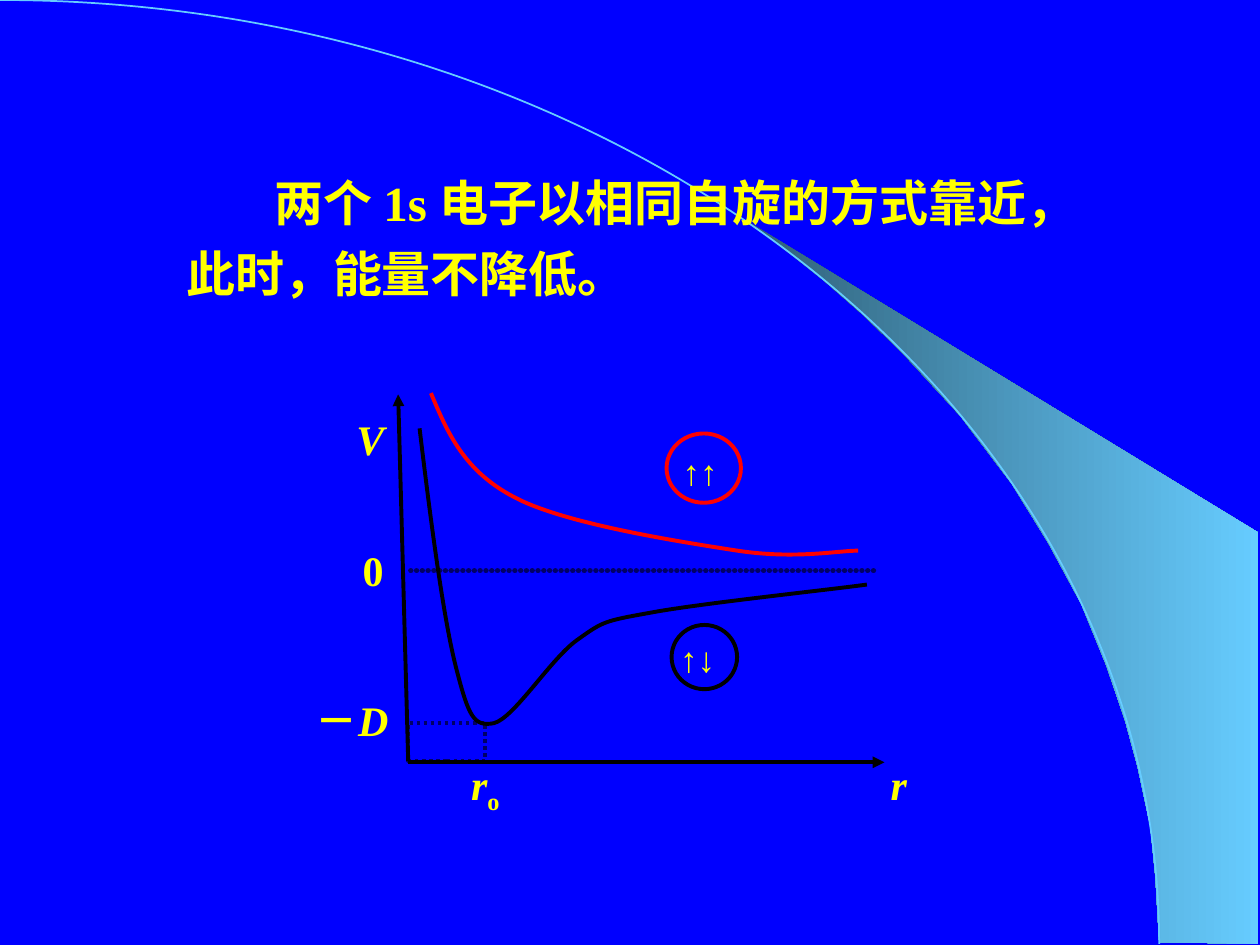
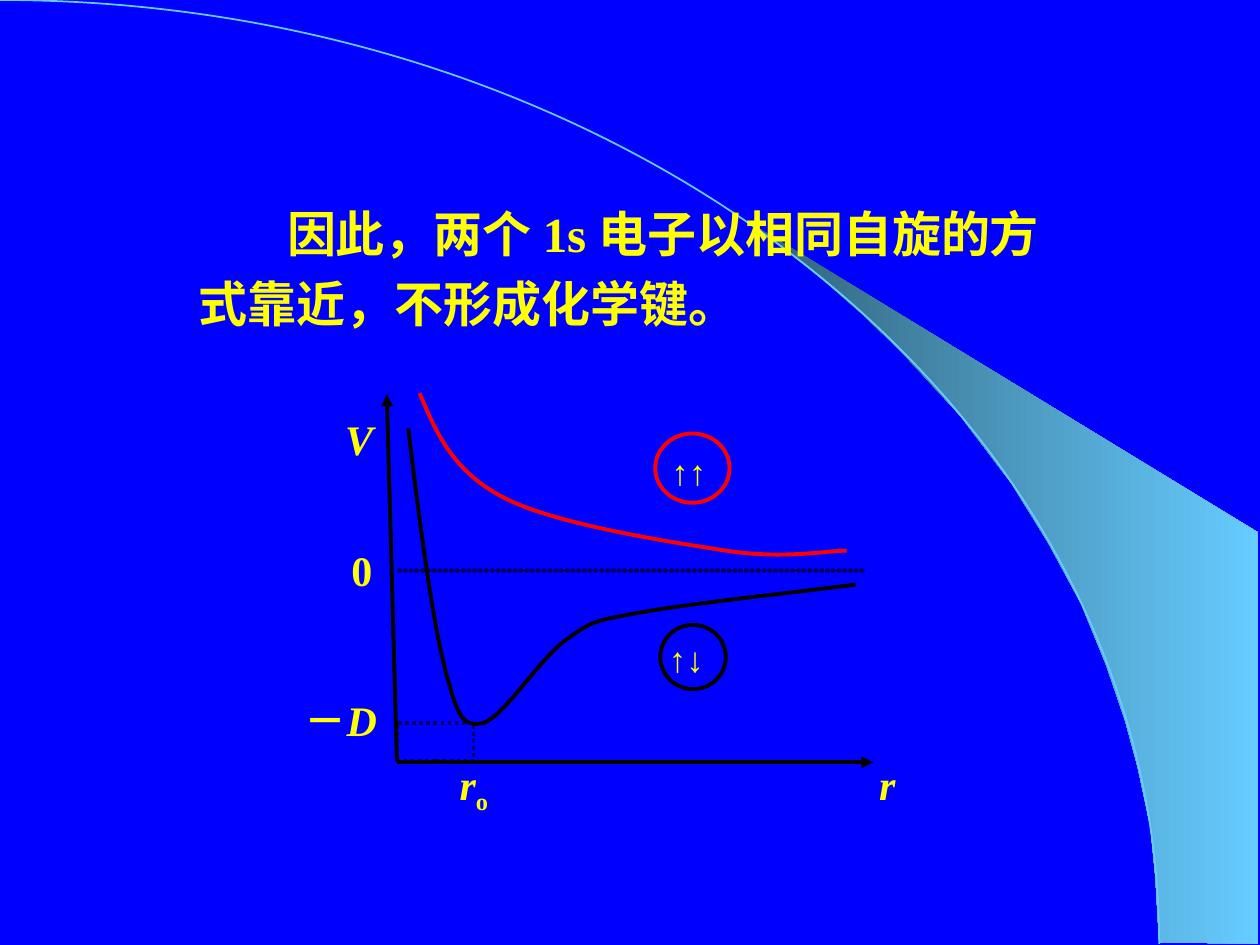
from dataclasses import dataclass
from typing import NamedTuple

from lxml import etree
from pptx import Presentation
from pptx.dml.color import RGBColor
from pptx.enum.dml import MSO_LINE
from pptx.enum.shapes import MSO_CONNECTOR, MSO_SHAPE
from pptx.enum.text import MSO_AUTO_SIZE, PP_ALIGN
from pptx.oxml.ns import qn
from pptx.util import Inches, Pt

ELLIPSE, RECT = MSO_SHAPE.OVAL, MSO_SHAPE.RECTANGLE
STRAIGHT = MSO_CONNECTOR.STRAIGHT
DOTTED = MSO_LINE.ROUND_DOT
GROW = MSO_AUTO_SIZE.SHAPE_TO_FIT_TEXT
LEFT, JUSTIFY = PP_ALIGN.LEFT, PP_ALIGN.JUSTIFY

BLUE = RGBColor(0x00, 0x00, 0xFF)
NAVY = RGBColor(0x00, 0x00, 0x66)
BLACK = RGBColor(0x00, 0x00, 0x00)
RED = RGBColor(0xFF, 0x00, 0x00)
YELLOW = RGBColor(0xFF, 0xFF, 0x00)
SKY = RGBColor(0x66, 0xCC, 0xFF)
TEAL = RGBColor(0x2F, 0x5E, 0x76)

SERIF, SANS = "Times New Roman", "Arial"
CURVE_WEIGHT = 2.25

# Grid of 10 columns by 7.5 rows
SLIDE_W, SLIDE_H = Inches(10), Inches(7.5)
COL, ROW = SLIDE_W / 10, SLIDE_H / 7.5

Point = tuple[float, float]


class Box(NamedTuple):
    x: float
    y: float
    w: float
    h: float

    def emu(self) -> tuple[int, int, int, int]:
        return (round(self.x * COL), round(self.y * ROW),
                round(self.w * COL), round(self.h * ROW))

    def shifted(self, dx: float) -> "Box":
        return self._replace(x=self.x + dx)


class Run(NamedTuple):
    text: str
    size: int = 24
    font: str = SERIF
    italic: bool = False
    baseline: int = 0


@dataclass(frozen=True)
class Label:
    box: Box
    runs: tuple[Run, ...]
    indent: float = 0


@dataclass(frozen=True)
class Curve:
    color: RGBColor
    weight: float
    points: tuple[Point, ...]


@dataclass(frozen=True)
class Outline:
    kind: MSO_SHAPE
    box: Box
    color: RGBColor
    weight: float = CURVE_WEIGHT
    dash: MSO_LINE | None = None


@dataclass(frozen=True)
class Page:
    text_box: Box
    lines: tuple[str, str]
    origin: float


# Shared backdrop
ARC = Curve(SKY, 1, ((0, 0), (5.08, 0), (9.2, 3.35), (9.2, 7.49)))
WEDGE = ((9.2, 7.48), (9.99, 7.49), (9.99, 4.23), (5.89, 1.73), (6.24, 1.99),
         (6.53, 2.22), (6.85, 2.5), (7.16, 2.8), (7.62, 3.3), (8.03, 3.84),
         (8.32, 4.31), (8.58, 4.79), (8.78, 5.28), (8.93, 5.72), (9.03, 6.09),
         (9.13, 6.56), (9.17, 6.96), (9.2, 7.48))

# Energy diagram: x is counted from the foot of the V axis
REPULSION = Curve(RED, CURVE_WEIGHT, (
    (0.18, 3.12), (0.31, 3.43), (0.44, 3.74), (0.85, 3.95), (1.25, 4.16),
    (2.16, 4.3), (2.61, 4.37), (3.07, 4.44), (3.41, 4.37), (3.57, 4.37)))
BONDING = Curve(BLACK, CURVE_WEIGHT, (
    (0.09, 3.4), (0.18, 4.15), (0.28, 4.91), (0.38, 5.3), (0.48, 5.69),
    (0.52, 5.77), (0.68, 5.74), (0.84, 5.7), (1.13, 5.23), (1.34, 5.08),
    (1.55, 4.93), (1.55, 4.93), (1.94, 4.86), (2.32, 4.79), (3.35, 4.68),
    (3.64, 4.64)))
OUTLINES = (
    Outline(ELLIPSE, Box(2.05, 3.44, 0.59, 0.55), RED),
    Outline(ELLIPSE, Box(2.09, 4.96, 0.52, 0.51), BLACK),
    Outline(RECT, Box(0, 5.74, 0.61, 0.3), NAVY, 2, DOTTED),
)
ZERO_LINE = ((0.02, 4.53), (3.72, 4.53))
AXES = (((0, 6.04), (-0.08, 3.13)), ((0, 6.05), (3.78, 6.05)))
LABELS = (
    Label(Box(1.99, 5.01, 1.3, 0.44), (Run("↑↓", 20, SANS),), 0.07),
    Label(Box(3.73, 5.97, 1.16, 0.5), (Run("r", italic=True),)),
    Label(Box(-0.51, 3.23, 0.79, 0.5), (Run("V", italic=True),)),
    Label(Box(-0.46, 4.27, 0.63, 0.5), (Run("0"),)),
    Label(Box(-0.83, 5.46, 1.3, 0.5), (Run("－"), Run("D", italic=True))),
    Label(Box(0.4, 5.97, 0.93, 0.56),
          (Run("r", italic=True), Run("o", baseline=-25))),
    Label(Box(2.08, 3.53, 1.14, 0.44), (Run("↑↑", 20, SANS),)),
)

PAGES = (
    Page(Box(1.38, 1.23, 7.64, 1.22),
         ("两个 1s 电子以相同自旋的方式靠近，", "此时，能量不降低。"), 3.24),
    Page(Box(1.48, 1.47, 7.4, 1.22),
         ("因此，两个 1s 电子以相同自旋的方", "式靠近，不形成化学键。"), 3.15),
)
FIRST_LINE_INDENT = 0.7


def set_line(shape, color: RGBColor, weight: float) -> None:
    shape.line.color.rgb = color
    shape.line.width = Pt(weight)


def add_polygon(shapes, points: tuple[Point, ...], dx: float = 0):
    emu = [(round((x + dx) * COL), round(y * ROW)) for x, y in points]
    builder = shapes.build_freeform(*emu[0])
    builder.add_line_segments(emu[1:], close=False)
    shape = builder.convert_to_shape()
    shape.shadow.inherit = False
    return shape


def add_curve(shapes, curve: Curve, dx: float = 0):
    """Turn each three line segments into one cubic segment."""
    shape = add_polygon(shapes, curve.points, dx)
    segments = list(shape.element.iter(qn("a:lnTo")))
    for i in range(0, len(segments), 3):
        trio = segments[i:i + 3]
        cubic = etree.SubElement(trio[0].getparent(), qn("a:cubicBezTo"))
        for segment in trio:
            cubic.append(segment[0])
            segment.getparent().remove(segment)
    shape.fill.background()
    set_line(shape, curve.color, curve.weight)
    return shape


def add_outline(shapes, outline: Outline, dx: float) -> None:
    shape = shapes.add_shape(outline.kind, *outline.box.shifted(dx).emu())
    shape.shadow.inherit = False
    shape.fill.background()
    set_line(shape, outline.color, outline.weight)
    if outline.dash is not None:
        shape.line.dash_style = outline.dash


def add_line(shapes, ends: tuple[Point, Point], color: RGBColor,
             weight: float, dx: float, arrow: bool = False,
             beaded: bool = False) -> None:
    (x1, y1), (x2, y2) = ends
    line = shapes.add_connector(STRAIGHT, round((x1 + dx) * COL), round(y1 * ROW),
                                round((x2 + dx) * COL), round(y2 * ROW))
    set_line(line, color, weight)
    properties = line.element.spPr
    ln = properties.find(qn("a:ln"))
    if beaded:
        ln.set("cap", "rnd")
        dashes = etree.SubElement(ln, qn("a:custDash"))
        etree.SubElement(dashes, qn("a:ds"), d="100000", sp="10000")
    if arrow:
        etree.SubElement(ln, qn("a:tailEnd"), type="triangle")
    etree.SubElement(properties, qn("a:effectLst"))


def add_run(p, text: str, *, size: int = 24, font: str = SERIF,
            italic: bool = False, baseline: int = 0) -> None:
    r = p.add_run()
    r.text = text
    r.font.name, r.font.size = font, Pt(size)
    r.font.bold, r.font.italic = True, italic
    r.font.color.rgb = YELLOW
    if baseline:
        r._r.get_or_add_rPr().set("baseline", str(baseline * 1000))


def add_text_box(shapes, box: Box):
    tf = shapes.add_textbox(*box.emu()).text_frame
    tf.word_wrap = True
    tf.auto_size = GROW
    return tf


def set_indent(p, columns: float) -> None:
    if columns:
        p._p.get_or_add_pPr().set("indent", str(round(columns * COL)))


def add_label(shapes, label: Label, dx: float) -> None:
    p = add_text_box(shapes, label.box.shifted(dx)).paragraphs[0]
    p.alignment = LEFT
    set_indent(p, label.indent)
    for run in label.runs:
        add_run(p, **run._asdict())


def add_statement(shapes, page: Page) -> None:
    tf = add_text_box(shapes, page.text_box)
    for i, text in enumerate(page.lines):
        p = tf.add_paragraph() if i else tf.paragraphs[0]
        p.alignment, p.line_spacing = JUSTIFY, 1.2
        set_indent(p, 0 if i else FIRST_LINE_INDENT)
        add_run(p, text, size=28)


def add_diagram(shapes, dx: float) -> None:
    add_curve(shapes, REPULSION, dx)
    for outline in OUTLINES:
        add_outline(shapes, outline, dx)
    add_line(shapes, ZERO_LINE, NAVY, 3, dx, beaded=True)
    for axis in AXES:
        add_line(shapes, axis, BLACK, CURVE_WEIGHT, dx, arrow=True)
    add_curve(shapes, BONDING, dx)
    for label in LABELS:
        add_label(shapes, label, dx)


def move_backdrop_to_master(prs, s) -> None:
    """Draw the wedge and the arc once, then hand them to the master."""
    wedge = add_polygon(s.shapes, WEDGE)
    wedge.fill.gradient()
    wedge.fill.gradient_angle = 0
    for stop, color in zip(wedge.fill.gradient_stops, (TEAL, SKY)):
        stop.color.rgb = color
    wedge.line.fill.background()
    arc = add_curve(s.shapes, ARC)
    master = prs.slide_master
    master.background.fill.solid()
    master.background.fill.fore_color.rgb = BLUE
    for shape in (wedge, arc):
        master.element.cSld.spTree.append(shape.element)


def main() -> None:
    prs = Presentation()
    prs.slide_width, prs.slide_height = SLIDE_W, SLIDE_H
    blank = prs.slide_layouts[6]
    slides = [prs.slides.add_slide(blank) for _ in PAGES]
    move_backdrop_to_master(prs, slides[0])
    for s, page in zip(slides, PAGES):
        add_statement(s.shapes, page)
        add_diagram(s.shapes.add_group_shape().shapes, page.origin)
    prs.save("out.pptx")


if __name__ == "__main__":
    main()
